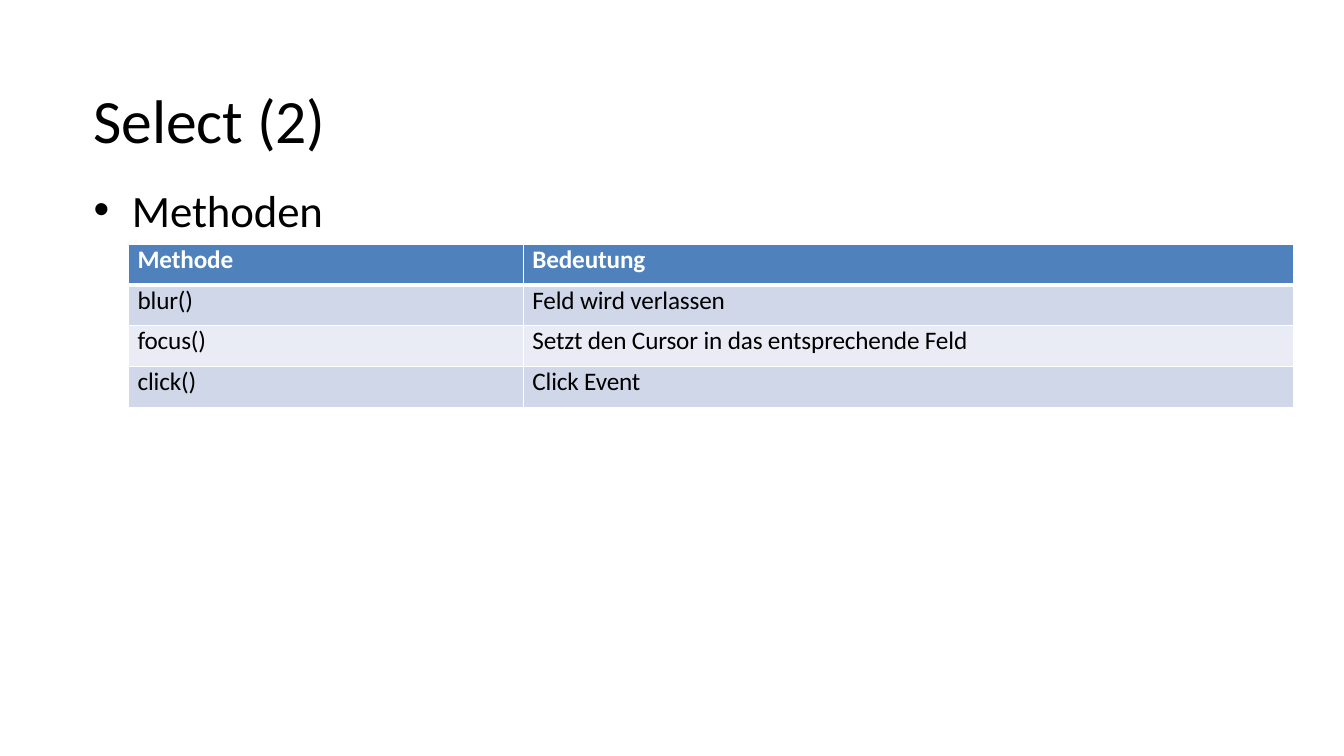
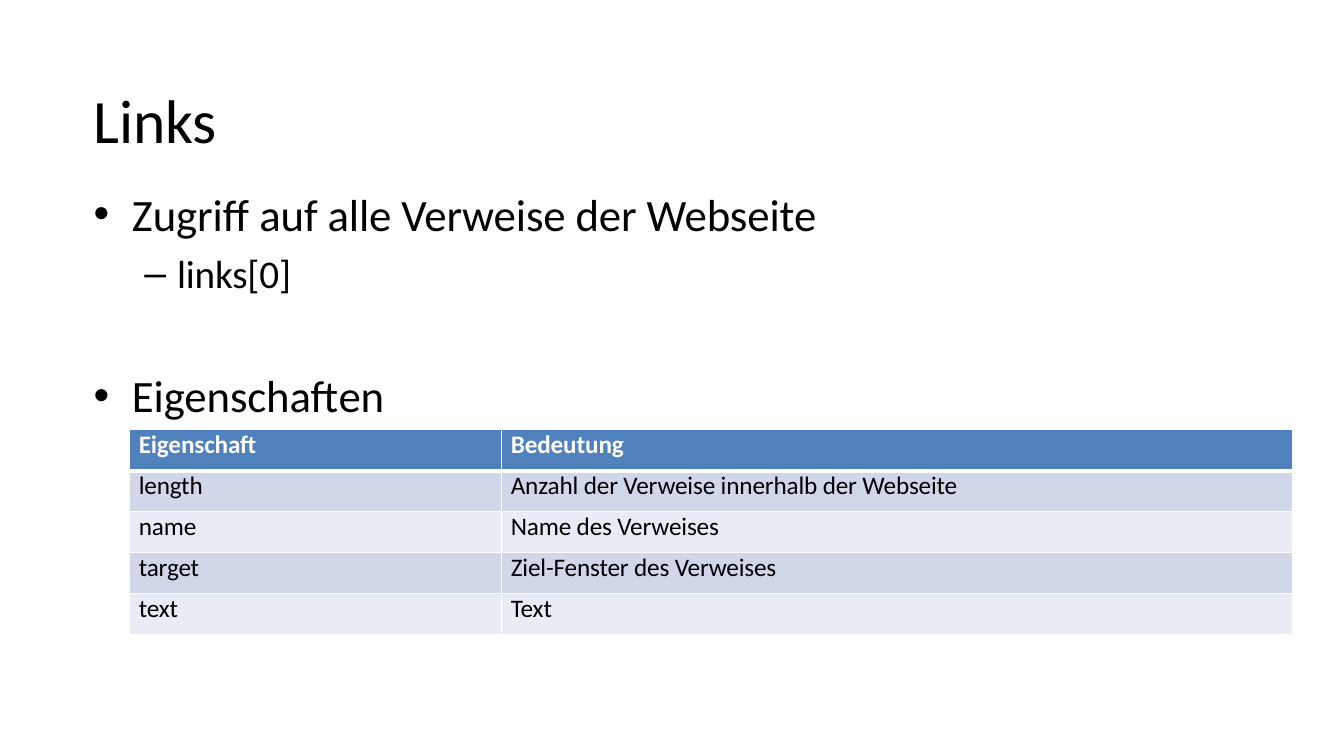
from dataclasses import dataclass

from lxml.etree import SubElement as Sub
from pptx import Presentation as Deck
from pptx.dml.color import RGBColor as Rgb
from pptx.enum.text import MSO_ANCHOR as Anchor
from pptx.enum.text import MSO_AUTO_SIZE as Fit
from pptx.enum.text import PP_ALIGN as Align
from pptx.oxml.ns import qn
from pptx.util import Pt


@dataclass(frozen=True)
class Theme:
    font: str = "Calibri"
    mark: str = "Arial"
    ink: str = "000000"
    paper: str = "FFFFFF"
    head: str = "4F81BC"
    bands: tuple = ("D0D7E8", "E9ECF4")
    title: int = 44
    levels: tuple = ((32, "•", 28, 27.4), (28, "–", 60.2, 23.4))
    cell: int = 18
    track: int = -10
    left: float = 66.24
    row: float = 29.2
    pad: float = 6.6
    line: int = 1
    rule: int = 3


class Show:
    def __init__(self, theme):
        self.theme = theme
        self.deck = Deck()
        self.deck.slide_width, self.deck.slide_height = Pt(960), Pt(540)
        self.slide = None

    def place(self, shape, left, top, width, height):
        shape.left, shape.top = Pt(left), Pt(top)
        shape.width, shape.height = Pt(width), Pt(height)
        frame = shape.text_frame
        frame.margin_left = frame.margin_right = 0
        frame.margin_top = frame.margin_bottom = 0
        frame.auto_size = Fit.NONE
        frame.word_wrap = True
        return frame

    def style(self, para, size, color, bold=False):
        para.alignment = Align.LEFT
        para.space_before = Pt(0)
        font = para.font
        font.name, font.size, font.bold = self.theme.font, Pt(size), bold
        font.color.rgb = Rgb.from_string(color)
        para._p.pPr.find(qn("a:defRPr")).set("spc", str(self.theme.track))

    def bullet(self, para, sign, indent, hang):
        props = para._p.get_or_add_pPr()
        props.set("marL", str(Pt(indent)))
        props.set("indent", str(-Pt(hang)))
        Sub(props, qn("a:buFont"), typeface=self.theme.mark)
        Sub(props, qn("a:buChar"), char=sign)

    def start(self, title):
        self.slide = self.deck.slides.add_slide(self.deck.slide_layouts[1])
        frame = self.place(self.slide.shapes.title, self.theme.left, 36, 828, 97.2)
        frame.margin_left = Pt(0.72)
        frame.vertical_anchor = Anchor.MIDDLE
        frame.text = title
        self.style(frame.paragraphs[0], self.theme.title, self.theme.ink)

    def list(self, top, width, height, items):
        body = self.slide.placeholders[1]
        frame = self.place(body, self.theme.left, top, width, height)
        frame.vertical_anchor = Anchor.TOP
        for index, (level, gap, text) in enumerate(items):
            para = frame.add_paragraph() if index else frame.paragraphs[0]
            para.text, para.level = text, level
            size, sign, indent, hang = self.theme.levels[level]
            self.bullet(para, sign, indent, hang)
            self.style(para, size, self.theme.ink)
            para.space_before = Pt(gap)

    def edge(self, cell, side, width):
        line = Sub(cell._tc.get_or_add_tcPr(), qn(f"a:ln{side}"), w=str(Pt(width)))
        fill = Sub(line, qn("a:solidFill"))
        Sub(fill, qn("a:srgbClr"), val=self.theme.paper)

    def cell(self, cell, text, row):
        look = self.theme
        cell.margin_left = Pt(look.pad)
        cell.margin_right = cell.margin_top = cell.margin_bottom = 0
        cell.vertical_anchor = Anchor.TOP
        heavy = {"B": 0, "T": 1}
        for side in "LRTB":
            self.edge(cell, side, look.rule if heavy.get(side) == row else look.line)
        cell.fill.solid()
        tone = look.bands[(row - 1) % 2] if row else look.head
        cell.fill.fore_color.rgb = Rgb.from_string(tone)
        cell.text = text
        ink = look.ink if row else look.paper
        self.style(cell.text_frame.paragraphs[0], look.cell, ink, row == 0)

    def table(self, left, top, widths, rows):
        height = self.theme.row
        table = self.slide.shapes.add_table(
            len(rows), len(widths), Pt(left), Pt(top),
            Pt(sum(widths)), Pt(height * len(rows))).table
        for col, width in zip(table.columns, widths):
            col.width = Pt(width)
        for row, texts in enumerate(rows):
            table.rows[row].height = Pt(height)
            for col, text in enumerate(texts):
                self.cell(table.cell(row, col), text, row)


def main():
    show = Show(Theme())

    show.start("Select (2)")
    show.list(130.3, 166.3, 41, [(0, 0, "Methoden")])
    show.table(91.7, 174.4, (282, 550), [
        ("Methode", "Bedeutung"),
        ("blur()", "Feld wird verlassen"),
        ("focus()", "Setzt den Cursor in das entsprechende Feld"),
        ("click()", "Click Event"),
    ])

    show.start("Links")
    show.list(133.2, 522.7, 167.8, [
        (0, 0, "Zugriff auf alle Verweise der Webseite"),
        (1, 6.8, "links[0]"),
        (0, 50.7, "Eigenschaften"),
    ])
    show.table(92.6, 307, (265.7, 565.2), [
        ("Eigenschaft", "Bedeutung"),
        ("length", "Anzahl der Verweise innerhalb der Webseite"),
        ("name", "Name des Verweises"),
        ("target", "Ziel-Fenster des Verweises"),
        ("text", "Text"),
    ])

    show.deck.save("out.pptx")


if __name__ == "__main__":
    main()
